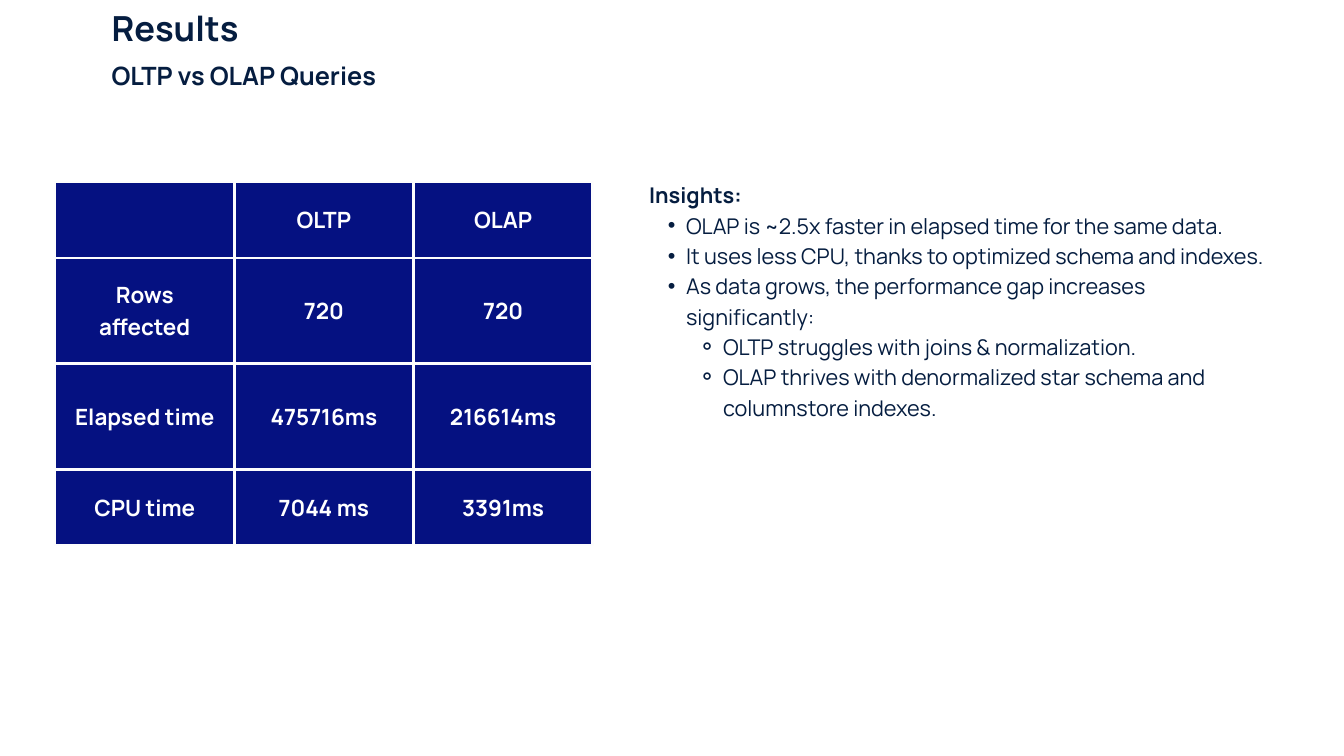
"""Build the results slide comparing OLTP and OLAP queries."""
import dataclasses
import typing

import lxml.etree
import pptx
import pptx.dml.color
import pptx.enum.text
import pptx.oxml.ns
import pptx.util

SLIDE_WIDTH = pptx.util.Inches(20)
SLIDE_HEIGHT = pptx.util.Inches(11.25)
GRID = 100


@dataclasses.dataclass(frozen=True)
class Theme:
    font: str = "Manrope"
    ink: str = "051D40"
    cell_fill: str = "051181"
    cell_text: str = "FFFFFF"
    border: str = "FDFDFD"
    border_width: float = 3
    title_size: float = 37
    subtitle_size: float = 27
    table_size: float = 24
    insight_size: float = 23.2


class Box(typing.NamedTuple):
    left: float
    top: float
    width: float
    height: float


class Bullet(typing.NamedTuple):
    symbol: str
    level: int
    margin: float
    hanging: float


class Line(typing.NamedTuple):
    text: str
    size: float
    spacing: float
    bold: bool = True
    bullet: typing.Optional[Bullet] = None


THEME = Theme()
DOT = Bullet("•", 1, 0.55, 0.27)
RING = Bullet("⚬", 2, 1.1, 0.37)

TITLE_BOX = Box(8.3, 0, 90.15, 6.6)
SUBTITLE_BOX = Box(8.3, 7.3, 35.8, 4.7)
INSIGHTS_BOX = Box(48.3, 23.5, 46.05, 44)
TABLE_BOX = Box(4.1, 24.1, 40, 48)
TABLE_ROW_HEIGHTS = (10, 14, 14, 10)
CELL_MARGIN = pptx.util.Inches(0.21)

RESULTS = (
    ("", "OLTP", "OLAP"),
    ("Rows affected", "720", "720"),
    ("Elapsed time", "475716ms", "216614ms"),
    ("CPU time", "7044 ms", "3391ms"),
)
INSIGHTS = (
    ("OLAP is ~2.5x faster in elapsed time for the same data.", DOT),
    ("It uses less CPU, thanks to optimized schema and indexes.", DOT),
    ("As data grows, the performance gap increases significantly:", DOT),
    ("OLTP struggles with joins & normalization.", RING),
    ("OLAP thrives with denormalized star schema and columnstore indexes.", RING),
)


def across(columns: float) -> int:
    return round(SLIDE_WIDTH * columns / GRID)


def down(rows: float) -> int:
    return round(SLIDE_HEIGHT * rows / GRID)


def place(box: Box) -> tuple[int, int, int, int]:
    return across(box.left), down(box.top), across(box.width), down(box.height)


def color(value: str) -> pptx.dml.color.RGBColor:
    return pptx.dml.color.RGBColor.from_string(value)


def add_element(parent, tag: str, **attributes: str):
    return lxml.etree.SubElement(parent, pptx.oxml.ns.qn(tag), attributes)


def add_bullet(paragraph, bullet: Bullet) -> None:
    paragraph.level = bullet.level
    properties = paragraph._p.get_or_add_pPr()
    properties.set("marL", str(pptx.util.Inches(bullet.margin)))
    properties.set("indent", str(-pptx.util.Inches(bullet.hanging)))
    add_element(properties, "a:buFont", typeface="Arial")
    add_element(properties, "a:buChar", char=bullet.symbol)


def write_line(paragraph, line: Line, text_color: str, alignment) -> None:
    paragraph.alignment = alignment
    paragraph.line_spacing = pptx.util.Pt(line.spacing)
    paragraph.space_before = pptx.util.Pt(0)
    if line.bullet:
        add_bullet(paragraph, line.bullet)
    run = paragraph.add_run()
    run.text = line.text
    run.font.name = THEME.font
    run.font.size = pptx.util.Pt(line.size)
    run.font.bold = line.bold
    run.font.color.rgb = color(text_color)


def fill_text(shape, box: Box, lines: typing.Sequence[Line]) -> None:
    shape.left, shape.top, shape.width, shape.height = place(box)
    frame = shape.text_frame
    frame.word_wrap = True
    frame.auto_size = pptx.enum.text.MSO_AUTO_SIZE.SHAPE_TO_FIT_TEXT
    frame.vertical_anchor = pptx.enum.text.MSO_ANCHOR.TOP
    frame.margin_left = frame.margin_top = 0
    frame.margin_right = frame.margin_bottom = 0
    for index, line in enumerate(lines):
        paragraph = frame.add_paragraph() if index else frame.paragraphs[0]
        write_line(paragraph, line, THEME.ink, pptx.enum.text.PP_ALIGN.LEFT)


def add_text(slide, box: Box, lines: typing.Sequence[Line]) -> None:
    fill_text(slide.shapes.add_textbox(*place(box)), box, lines)


def format_cell(cell, text: str) -> None:
    properties = cell._tc.get_or_add_tcPr()
    for side in ("L", "R", "T", "B"):
        border = add_element(
            properties, f"a:ln{side}", w=str(pptx.util.Pt(THEME.border_width))
        )
        add_element(add_element(border, "a:solidFill"), "a:srgbClr", val=THEME.border)
    cell.fill.solid()
    cell.fill.fore_color.rgb = color(THEME.cell_fill)
    cell.vertical_anchor = pptx.enum.text.MSO_ANCHOR.MIDDLE
    cell.margin_left = cell.margin_right = CELL_MARGIN
    cell.margin_top = cell.margin_bottom = CELL_MARGIN
    if text:
        line = Line(text, THEME.table_size, 33.6)
        write_line(
            cell.text_frame.paragraphs[0],
            line,
            THEME.cell_text,
            pptx.enum.text.PP_ALIGN.CENTER,
        )


def add_results_table(slide) -> None:
    row_count, column_count = len(RESULTS), len(RESULTS[0])
    table = slide.shapes.add_table(row_count, column_count, *place(TABLE_BOX)).table
    table.first_row = table.horz_banding = False
    for column in table.columns:
        column.width = across(TABLE_BOX.width / column_count)
    for row, height, texts in zip(table.rows, TABLE_ROW_HEIGHTS, RESULTS):
        row.height = down(height)
        for cell, text in zip(row.cells, texts):
            format_cell(cell, text)


def main() -> None:
    presentation = pptx.Presentation()
    presentation.slide_width = SLIDE_WIDTH
    presentation.slide_height = SLIDE_HEIGHT
    slide = presentation.slides.add_slide(presentation.slide_layouts[5])
    add_results_table(slide)
    fill_text(slide.shapes.title, TITLE_BOX, [Line("Results", THEME.title_size, 51.8)])
    subtitle = Line("OLTP vs OLAP Queries", THEME.subtitle_size, 37.8)
    add_text(slide, SUBTITLE_BOX, [subtitle])
    heading = Line("Insights:", THEME.insight_size, 32.5)
    points = [
        Line(text, THEME.insight_size, 32.5, False, bullet) for text, bullet in INSIGHTS
    ]
    add_text(slide, INSIGHTS_BOX, [heading, *points])
    presentation.save("out.pptx")


if __name__ == "__main__":
    main()
